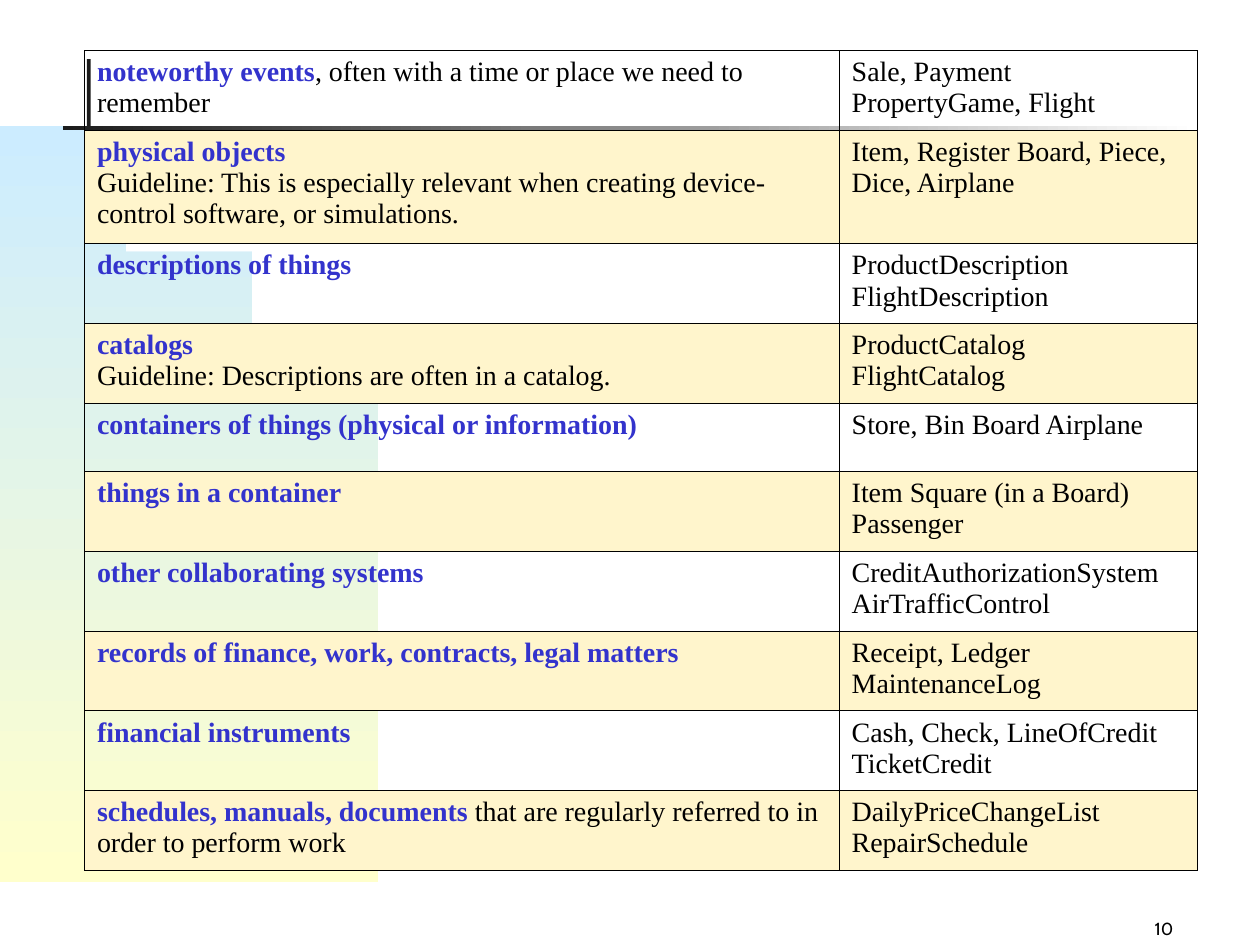
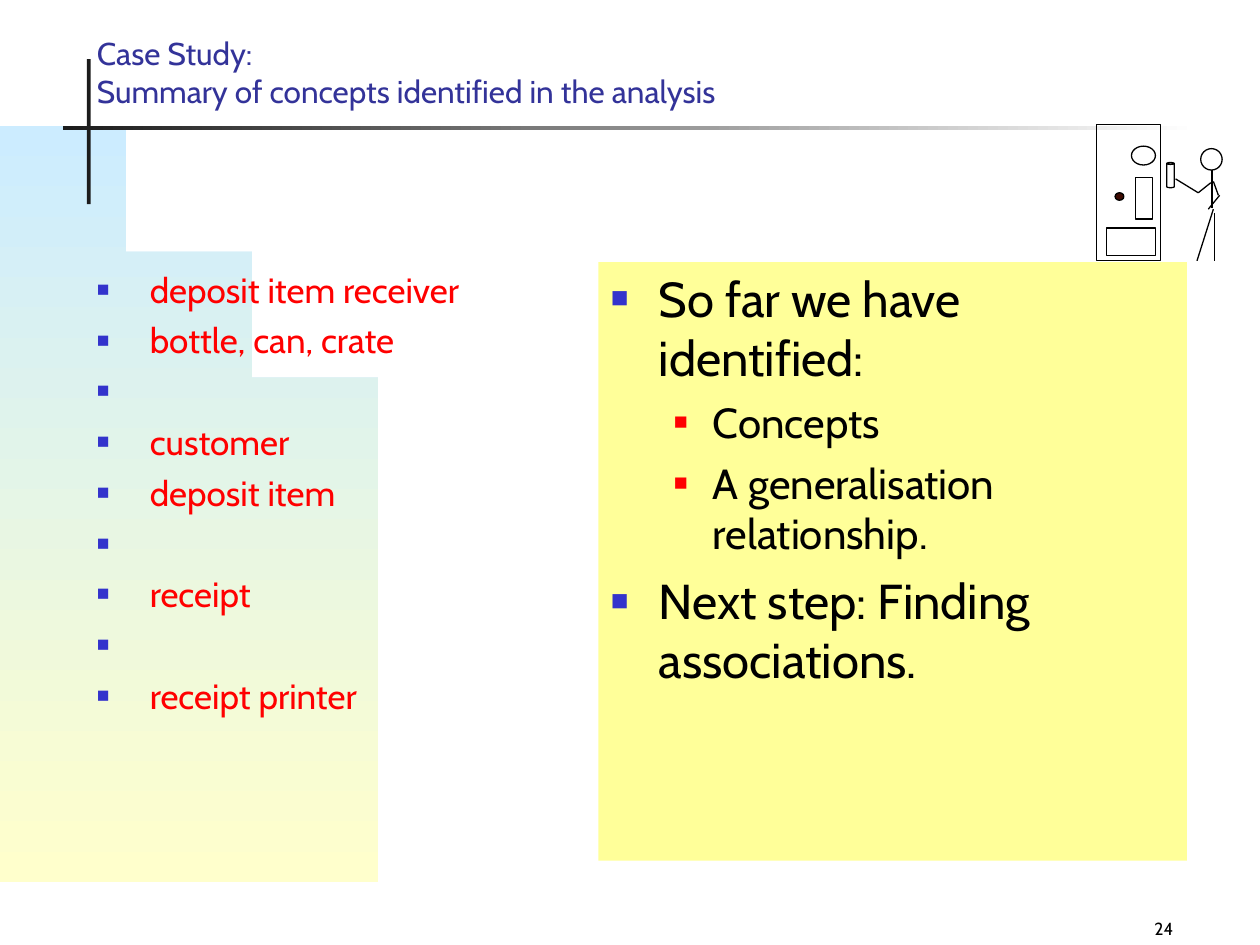
from lxml import etree
from pptx import Presentation
from pptx.dml.color import RGBColor
from pptx.enum.shapes import MSO_CONNECTOR, MSO_SHAPE
from pptx.enum.text import MSO_ANCHOR, PP_ALIGN
from pptx.oxml.ns import qn
from pptx.util import Inches, Pt

RECT, OVAL, CAN = MSO_SHAPE.RECTANGLE, MSO_SHAPE.OVAL, MSO_SHAPE.CAN
STRAIGHT = MSO_CONNECTOR.STRAIGHT
TOP, BOTTOM = MSO_ANCHOR.TOP, MSO_ANCHOR.BOTTOM
LEFT, RIGHT = PP_ALIGN.LEFT, PP_ALIGN.RIGHT

COLORS = {
    "black": "000000", "ink": "1C1C1C", "white": "FFFFFF", "sky": "CCECFF",
    "cream": "FFFFCC", "band": "FFF5CC", "term": "3333CC", "title": "333399",
    "red": "FF0000", "note": "FFFF99", "button": "3E0B02",
}
SANS, SERIF = "Cabin", "Times New Roman"

CATEGORIES = [
    ([[("noteworthy events", True),
       (", often with a time or place we need to remember", False)]],
     ["Sale, Payment PropertyGame, Flight"]),
    ([[("physical objects", True)],
      [("Guideline: This is especially relevant when creating "
        "device-control software, or simulations.", False)]],
     ["Item, Register Board, Piece, Dice, Airplane"]),
    ([[("descriptions of things", True)]],
     ["ProductDescription", "FlightDescription"]),
    ([[("catalogs", True)],
      [("Guideline: Descriptions are often in a catalog.", False)]],
     ["ProductCatalog", "FlightCatalog"]),
    ([[("containers of things (physical or information)", True)]],
     ["Store, Bin Board Airplane"]),
    ([[("things in a container", True)]],
     ["Item Square (in a Board) Passenger"]),
    ([[("other collaborating systems", True)]],
     ["CreditAuthorizationSystem", "AirTrafficControl"]),
    ([[("records of finance, work, contracts, legal matters", True)]],
     ["Receipt, Ledger", "MaintenanceLog"]),
    ([[("financial instruments", True)]],
     ["Cash, Check, LineOfCredit", "TicketCredit"]),
    ([[("schedules, manuals, documents", True),
       (" that are regularly referred to in order to perform work", False)]],
     ["DailyPriceChangeList", "RepairSchedule"]),
]
TALL_ROW, SHORT_ROW = 1, 4

CONCEPTS = ["deposit item receiver", "bottle, can, crate", " ", "customer",
            "deposit item", " ", "receipt", " ", "receipt printer"]

PROGRESS = [("So far we have identified:", 0), ("Concepts", 1),
            ("A generalisation relationship.", 1),
            ("Next step: Finding associations.", 0)]
CONCEPT_STYLE = dict(size=20, color="red", indent=0.42, hang=0.42, before=5,
                     bullet="term", percent=60)
PROGRESS_STYLES = [
    dict(size=28, color="black", indent=0.38, hang=0.38, before=7,
         bullet="term", percent=60),
    dict(size=24, color="black", indent=0.81, hang=0.31, before=6,
         bullet="red", percent=55),
]

MACHINE_AND_CUSTOMER = [
    (OVAL, (9.53, 1.18, 0.17, 0.17), None),
    (CAN, (9.26, 1.29, 0.06, 0.2), None),
    (RECT, (8.7, 0.99, 0.51, 1.08), None),
    (OVAL, (8.98, 1.16, 0.19, 0.15), None),
    (RECT, (9.01, 1.41, 0.14, 0.33), None),
    (RECT, (8.78, 1.81, 0.39, 0.22), None),
    (OVAL, (8.85, 1.53, 0.07, 0.06), "button"),
]
CUSTOMER_LIMBS = [
    (9.62, 1.35, 9.62, 1.65), (9.63, 1.66, 9.5, 2.07),
    (9.64, 1.69, 9.64, 2.07), (9.61, 1.45, 9.51, 1.53),
    (9.51, 1.53, 9.33, 1.42), (9.63, 1.44, 9.67, 1.55),
    (9.68, 1.55, 9.59, 1.66),
]


def rgb(name):
    return RGBColor.from_string(COLORS[name])


def inches(values):
    return [Inches(value) for value in values]


def bezier(start, pull_1, pull_2, end, steps=60):
    for step in range(steps + 1):
        t = step / steps
        u = 1 - t
        yield tuple(u**3 * a + 3 * u * u * t * b + 3 * u * t * t * c + t**3 * d
                    for a, b, c, d in zip(start, pull_1, pull_2, end))


class Deck:
    def __init__(self):
        self.prs = Presentation()
        self.prs.slide_width, self.prs.slide_height = Inches(10), Inches(7.5)
        self.slide = None

    def new_slide(self, number):
        self.slide = self.prs.slides.add_slide(self.prs.slide_layouts[6])
        self.hill()
        self.shape(RECT, (0.69, 0.47, 0.03, 1.15), "ink")
        rule = self.shape(RECT, (0.5, 1, 9, 0.03), "ink")
        self.gradient(rule, "ink", "white", 0)
        page = self.box((7.33, 7.17, 2.08, 0.33), BOTTOM).paragraphs[0]
        page.alignment = RIGHT
        self.run(page, number, 10, "black")

    def hill(self):
        points = list(bezier((0, 0.91), (1.75, 0.91), (3.17, 3.86), (3.17, 7.49)))
        builder = self.slide.shapes.build_freeform(*points[0], scale=Inches(1))
        builder.add_line_segments(points[1:] + [(0, 7.49)], close=True)
        hill = builder.convert_to_shape()
        hill.shadow.inherit = False
        hill.line.fill.background()
        self.gradient(hill, "sky", "cream", 270)

    def gradient(self, shape, first, last, angle):
        shape.fill.gradient()
        shape.fill.gradient_angle = angle
        for stop, color, place in zip(shape.fill.gradient_stops, (first, last), (0, 1)):
            stop.color.rgb = rgb(color)
            stop.position = place

    def paint(self, fill, color):
        if color:
            fill.solid()
            fill.fore_color.rgb = rgb(color)
        else:
            fill.background()

    def shape(self, kind, place, fill=None, line=None, parent=None):
        shapes = (parent or self.slide).shapes
        shape = shapes.add_shape(kind, *inches(place))
        shape.shadow.inherit = False
        self.paint(shape.fill, fill)
        self.paint(shape.line.fill, line)
        if line:
            shape.line.width = Pt(0.75)
        return shape

    def line(self, ends, parent):
        line = parent.shapes.add_connector(STRAIGHT, *inches(ends))
        line.line.color.rgb = rgb("black")
        line.line.width = Pt(0.75)
        etree.SubElement(line._element.spPr, qn("a:effectLst"))

    def box(self, place, anchor=TOP, fill=None):
        box = self.slide.shapes.add_textbox(*inches(place))
        self.paint(box.fill, fill)
        frame = box.text_frame
        frame.word_wrap = True
        frame.vertical_anchor = anchor
        return frame

    def run(self, paragraph, text, size, color, font=SANS, bold=False):
        run = paragraph.add_run()
        run.text = text
        run.font.name, run.font.size, run.font.bold = font, Pt(size), bold
        run.font.color.rgb = rgb(color)

    def paragraphs(self, frame, items):
        for index, item in enumerate(items):
            yield frame.add_paragraph() if index else frame.paragraphs[0], item

    def title(self, lines):
        heading = self.box((0.67, 0.17, 7.08, 0.75), BOTTOM).paragraphs[0]
        for index, text in enumerate(lines):
            if index:
                heading.add_line_break()
            self.run(heading, text, 18, "title")

    def bullets(self, place, items, fill=None):
        frame = self.box(place, fill=fill)
        for paragraph, (text, style) in self.paragraphs(frame, items):
            paragraph.alignment = LEFT
            first = paragraph._p is frame.paragraphs[0]._p
            paragraph.space_before = Pt(0 if first else style["before"])
            props = paragraph._p.get_or_add_pPr()
            props.set("marL", str(Inches(style["indent"])))
            props.set("indent", str(-Inches(style["hang"])))
            tint = etree.SubElement(props, qn("a:buClr"))
            etree.SubElement(tint, qn("a:srgbClr"), val=COLORS[style["bullet"]])
            etree.SubElement(props, qn("a:buSzPct"), val=str(style["percent"] * 1000))
            etree.SubElement(props, qn("a:buFont"), typeface="Arial")
            etree.SubElement(props, qn("a:buChar"), char="■")
            self.run(paragraph, text, style["size"], style["color"])

    def cell(self, cell, paragraphs, fill):
        props = cell._tc.get_or_add_tcPr()
        for side in ("lnL", "lnR", "lnT", "lnB"):
            edge = etree.SubElement(props, qn(f"a:{side}"), w=str(Pt(0.34)))
            solid = etree.SubElement(edge, qn("a:solidFill"))
            etree.SubElement(solid, qn("a:srgbClr"), val=COLORS["black"])
        self.paint(cell.fill, fill)
        for paragraph, runs in self.paragraphs(cell.text_frame, paragraphs):
            for text, is_term in runs:
                color = "term" if is_term else "black"
                self.run(paragraph, text, 16, color, SERIF, is_term)

    def table(self, place, widths, heights, rows):
        table = self.slide.shapes.add_table(
            len(rows), len(widths), *inches(place)).table
        table.first_row = table.horz_banding = False
        for column, width in zip(table.columns, widths):
            column.width = Inches(width)
        for index, (row, height) in enumerate(zip(table.rows, heights)):
            row.height = Inches(height)
            for cell, paragraphs in zip(row.cells, rows[index]):
                self.cell(cell, paragraphs, "band" if index % 2 else None)

    def machine_and_customer(self):
        scene = self.slide.shapes.add_group_shape()
        for kind, place, fill in MACHINE_AND_CUSTOMER:
            self.shape(kind, place, fill, "black", scene)
        for limb in CUSTOMER_LIMBS:
            self.line(limb, scene)


def category_slide(deck):
    deck.new_slide("10")
    special = {TALL_ROW: 0.9, SHORT_ROW: 0.54}
    total = 6.51
    regular = (total - sum(special.values())) / (len(CATEGORIES) - len(special))
    heights = [special.get(index, regular) for index in range(len(CATEGORIES))]
    rows = [(category, [[(text, False)] for text in examples])
            for category, examples in CATEGORIES]
    deck.table((0.67, 0.4, 8.83, total), (5.99, 2.84), heights, rows)


def summary_slide(deck):
    deck.new_slide("24")
    deck.machine_and_customer()
    deck.title(["Case Study:", "Summary of concepts identified in the analysis"])
    deck.bullets((0.67, 2.08, 5.29, 4.5),
                 [(concept, CONCEPT_STYLE) for concept in CONCEPTS])
    deck.bullets((4.75, 2.08, 4.67, 4.75),
                 [(text, PROGRESS_STYLES[level]) for text, level in PROGRESS],
                 fill="note")


def main():
    deck = Deck()
    category_slide(deck)
    summary_slide(deck)
    deck.prs.save("out.pptx")


if __name__ == "__main__":
    main()
